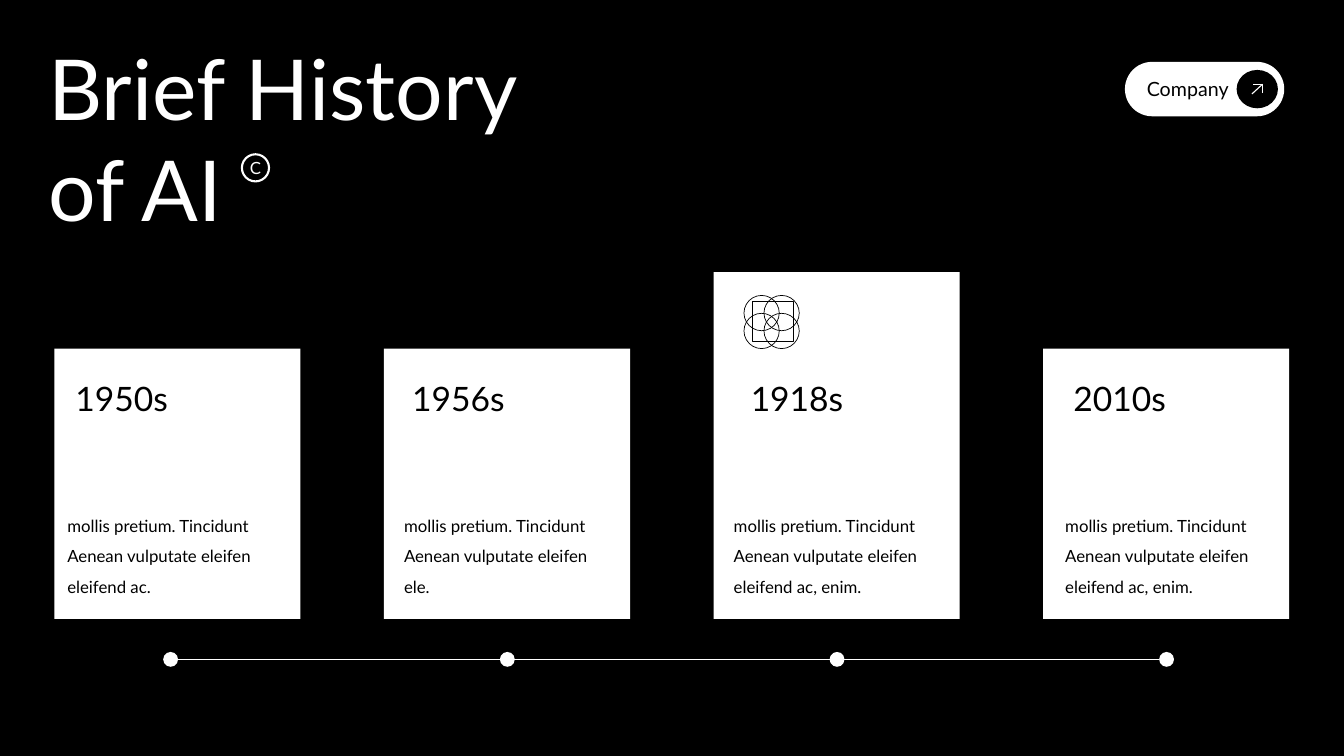
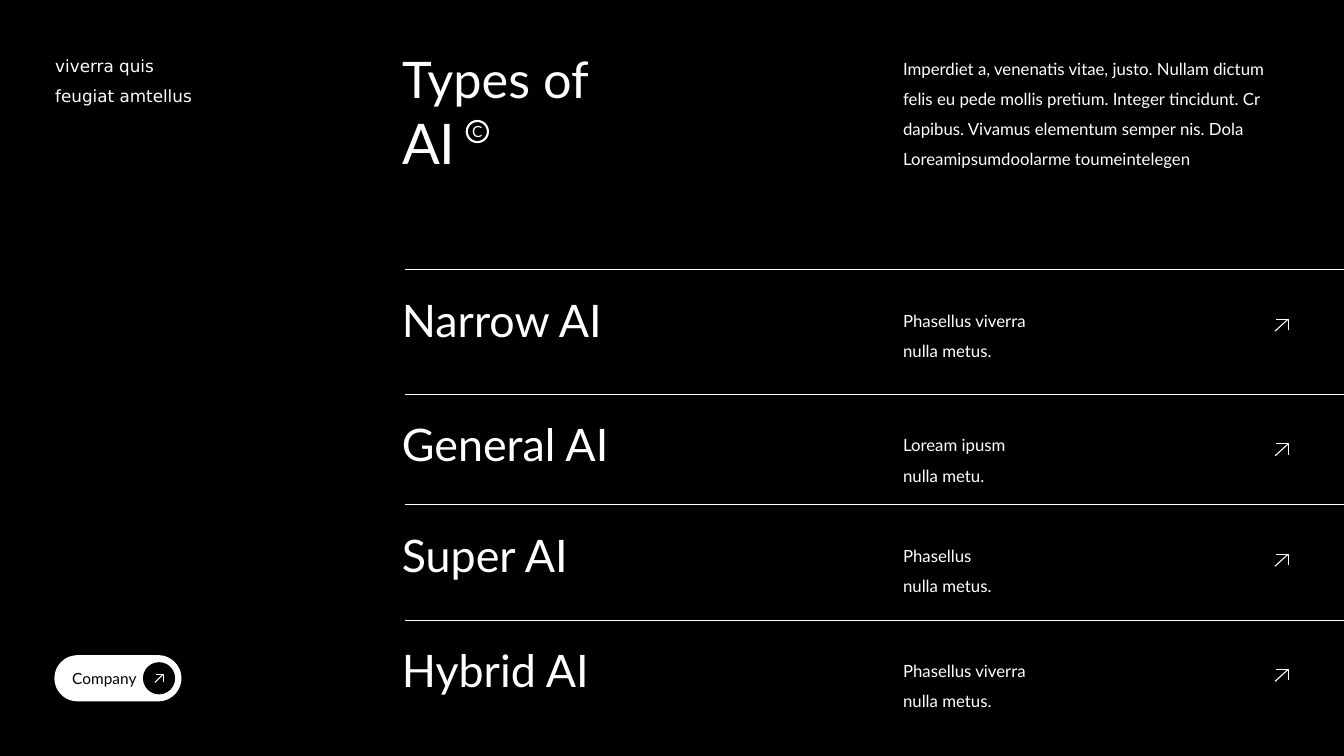
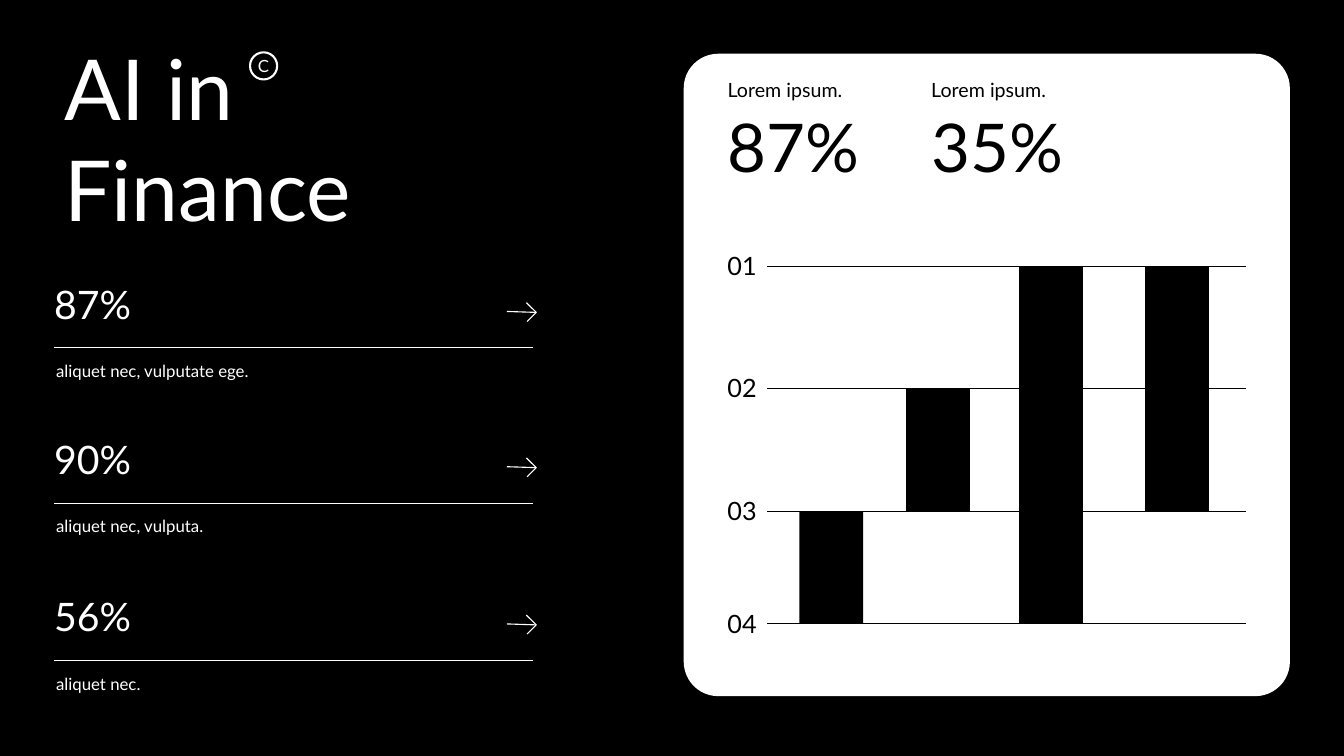
from dataclasses import dataclass
from itertools import product

from lxml.etree import SubElement
from pptx import Presentation
from pptx.dml.color import RGBColor
from pptx.enum.shapes import MSO_CONNECTOR, MSO_SHAPE
from pptx.enum.text import MSO_ANCHOR, MSO_AUTO_SIZE, PP_ALIGN
from pptx.oxml.ns import qn
from pptx.util import Pt

BLACK, WHITE = "000000", "FFFFFF"
FONT = "Lato"
HAIRLINE, ARROW_LINE = 0.5, 0.79
SLIDE_W, SLIDE_H = 960, 540
TITLE_ONLY = 5

Point = tuple[float, float]


@dataclass
class Milestone:
    year: str
    lines: list[str]
    year_x: float
    text_x: float
    dot_x: float
    card_top: float = 249


@dataclass
class AiType:
    name: str
    lines: list[str]
    rule_y: float


@dataclass
class Stat:
    value: str
    label: str
    rule_y: float


@dataclass
class Kpi:
    label: str
    value: str
    x: float


@dataclass
class Bar:
    """A floating bar between two grid lines, given by index."""
    x: float
    top: int
    bottom: int


MILESTONES = [
    Milestone("1950s", ["mollis pretium. Tincidunt", "Aenean vulputate eleifen", "eleifend ac."],
              46.8, 41, 116.6),
    Milestone("1956s", ["mollis pretium. Tincidunt", "Aenean vulputate eleifen", "ele."],
              287.3, 281.5, 357.1),
    Milestone("1918s", ["mollis pretium. Tincidunt", "Aenean vulputate eleifen", "eleifend ac, enim."],
              529.2, 517, 592.6, card_top=194.4),
    Milestone("2010s", ["mollis pretium. Tincidunt", "Aenean vulputate eleifen", "eleifend ac, enim."],
              759.6, 753.8, 828),
]
AI_TYPES = [
    AiType("Narrow AI", ["Phasellus viverra", "nulla metus."], 192.6),
    AiType("General AI", ["Loream ipusm", "nulla metu."], 281.7),
    AiType("Super AI", ["Phasellus", "nulla metus."], 360.5),
    AiType("Hybrid AI", ["Phasellus viverra", "nulla metus."], 442.8),
]
STATS = [
    Stat("87%", "aliquet nec, vulputate ege.", 248.4),
    Stat("90%", "aliquet nec, vulputa.", 359.3),
    Stat("56%", "aliquet nec.", 471.6),
]
KPIS = [Kpi("Lorem ipsum.", "87%", 512.6), Kpi("Lorem ipsum.", "35%", 658.1)]
GRID_YS = [190.1, 277.2, 365.2, 445.6]
BARS = [Bar(571, 2, 3), Bar(647.2, 1, 2), Bar(728, 0, 3), Bar(818, 0, 2)]


def rgb(color: str) -> RGBColor:
    return RGBColor.from_string(color)


def write(tf, lines: list[str], *, size: float, color: str = WHITE, font: str = FONT,
          spacing: float = 1, align=PP_ALIGN.LEFT) -> None:
    """Fill a text frame with one paragraph per line."""
    tf.word_wrap = True
    for i, line in enumerate(lines):
        p = tf.add_paragraph() if i else tf.paragraphs[0]
        p.alignment = align
        p.line_spacing = spacing
        r = p.add_run()
        r.text = line
        r.font.size = Pt(size)
        r.font.name = font
        r.font.color.rgb = rgb(color)


def add_text(sl, x: float, y: float, w: float, h: float, *lines: str, **style) -> None:
    sp = sl.shapes.add_textbox(Pt(x), Pt(y), Pt(w), Pt(h))
    write(sp.text_frame, list(lines), **style)


def set_title(sl, x: float, y: float, w: float, h: float, *lines: str, size: float = 60):
    sp = sl.shapes.title
    sp.left, sp.top, sp.width, sp.height = Pt(x), Pt(y), Pt(w), Pt(h)
    tf = sp.text_frame
    tf.auto_size = MSO_AUTO_SIZE.NONE
    tf.vertical_anchor = MSO_ANCHOR.TOP
    write(tf, list(lines), size=size)
    return tf


def paint(sp, fill: str | None, line: str | None, width: float) -> None:
    sp.shadow.inherit = False
    if fill:
        sp.fill.solid()
        sp.fill.fore_color.rgb = rgb(fill)
    else:
        sp.fill.background()
    if line:
        sp.line.color.rgb = rgb(line)
        sp.line.width = Pt(width)
    else:
        sp.line.fill.background()


def add_box(sl, kind, x: float, y: float, w: float, h: float, *, fill: str | None = None,
            line: str | None = None, width: float = HAIRLINE):
    sp = sl.shapes.add_shape(kind, Pt(x), Pt(y), Pt(w), Pt(h))
    paint(sp, fill, line, width)
    return sp


def add_rule(sl, x1: float, x2: float, y: float, color: str = WHITE) -> None:
    cn = sl.shapes.add_connector(MSO_CONNECTOR.STRAIGHT, Pt(x1), Pt(y), Pt(x2), Pt(y))
    cn.line.color.rgb = rgb(color)
    cn.line.width = Pt(HAIRLINE)
    SubElement(cn._element.spPr, qn("a:effectLst"))


def add_arrow(sl, head: list[Point], tail: Point) -> None:
    """Draw an open arrow: a three-point head and a shaft from tail to its tip."""
    start, tip, end = [(Pt(x), Pt(y)) for x, y in head]
    fb = sl.shapes.build_freeform(*start, scale=1.0)
    fb.add_line_segments([tip, end], close=False)
    fb.move_to(Pt(tail[0]), Pt(tail[1]))
    fb.add_line_segments([tip], close=False)
    paint(fb.convert_to_shape(), None, WHITE, ARROW_LINE)


def add_diagonal_arrow(sl, cx: float, cy: float, w: float, h: float) -> None:
    left, right, top, bottom = cx - w / 2, cx + w / 2, cy - h / 2, cy + h / 2
    add_arrow(sl, [(right, bottom - 0.6), (right, top), (left + 0.6, top)], (left, bottom))


def add_right_arrow(sl, tip_x: float, tip_y: float) -> None:
    add_arrow(sl, [(tip_x - 6.5, tip_y + 6.5), (tip_x, tip_y), (tip_x - 7, tip_y - 7)],
              (tip_x - 21, tip_y - 0.7))


def set_insets(tf, left: float = 0) -> None:
    tf.margin_left = Pt(left)
    tf.margin_right = tf.margin_top = tf.margin_bottom = 0
    tf.vertical_anchor = MSO_ANCHOR.MIDDLE


def add_badge(sl, x: float, y: float, d: float, size: float) -> None:
    """Draw the ringed C beside a title."""
    sp = add_box(sl, MSO_SHAPE.OVAL, x, y, d, d, line=WHITE, width=1.5)
    set_insets(sp.text_frame)
    write(sp.text_frame, ["C"], size=size, align=PP_ALIGN.CENTER)
    sp.text_frame.word_wrap = False


def add_pill(sl, x: float, y: float, w: float, h: float, *, size: float, inset: float,
             knob: Point, arrow: Point) -> None:
    """Draw the Company button with its arrow knob at the right end."""
    sp = add_box(sl, MSO_SHAPE.ROUNDED_RECTANGLE, x, y, w, h, fill=WHITE)
    sp.adjustments[0] = 0.5
    set_insets(sp.text_frame, inset)
    write(sp.text_frame, ["Company"], size=size, color=BLACK)
    knob_w, knob_h = knob
    cx, cy = x + w - 4.5 - knob_w / 2, y + h / 2
    add_box(sl, MSO_SHAPE.OVAL, cx - knob_w / 2, cy - knob_h / 2, knob_w, knob_h, fill=BLACK)
    add_diagonal_arrow(sl, cx, cy, *arrow)


def add_ornament(sl, x: float, y: float) -> None:
    """Draw four overlapping rings around a square."""
    add_box(sl, MSO_SHAPE.RECTANGLE, x + 5.8, y + 4.3, 29.5, 28.8, line=BLACK)
    for dx, dy in product((0, 14.3), (0, 12.8)):
        add_box(sl, MSO_SHAPE.OVAL, x + dx, y + dy, 25.2, 25.2, line=BLACK)


def build_history(sl) -> None:
    card_x, card_step, card_w, card_bottom = 38.9, 235.4, 175.8, 442
    dot, axis_y = 10.6, 471
    set_title(sl, 27.4, 22.3, 480, 152.6, "Brief History", "of AI")
    add_badge(sl, 172.8, 110.2, 19.4, 12)
    add_pill(sl, 803.5, 44.2, 113.8, 38.9, size=14, inset=10, knob=(29.5, 27.4), arrow=(7.6, 7))
    add_rule(sl, MILESTONES[0].dot_x + dot, MILESTONES[-1].dot_x, axis_y)
    for i, m in enumerate(MILESTONES):
        add_box(sl, MSO_SHAPE.RECTANGLE, card_x + i * card_step, m.card_top,
                card_w, card_bottom - m.card_top, fill=WHITE)
        add_box(sl, MSO_SHAPE.OVAL, m.dot_x, axis_y - dot / 2, dot, dot, fill=WHITE)
        add_text(sl, m.year_x, 266.4, 83.5, 36, m.year, size=24, color=BLACK)
        add_text(sl, m.text_x, 357.8, 167, 70.6, *m.lines, size=12, color=BLACK, spacing=1.5)
    add_ornament(sl, 531.4, 211)


def build_types(sl) -> None:
    name_x, text_x = 280, 638
    tf = set_title(sl, name_x, 31, 221, 99.4, "Types of", "AI", size=36)
    tf.paragraphs[1].runs[0].font.size = Pt(40)
    add_badge(sl, 333.4, 86.4, 15.1, 11)
    add_text(sl, 32.4, 28.8, 149, 48.2, "viverra quis", "feugiat amtellus",
             size=12, font="DejaVu Sans", spacing=1.5)
    add_text(sl, text_x, 31, 305.3, 92.2,
             "Imperdiet a, venenatis vitae, justo. Nullam dictum",
             "felis eu pede mollis pretium. Integer tincidunt. Cr",
             "dapibus. Vivamus elementum semper nis. Dola",
             "Loreamipsumdoolarme toumeintelegen", size=12, spacing=1.5)
    for t in AI_TYPES:
        add_rule(sl, 289.4, SLIDE_W, t.rule_y)
        add_text(sl, name_x, t.rule_y + 12.6, 199.4, 46, t.name, size=32)
        add_text(sl, text_x, t.rule_y + 18.4, 129.6, 48.2, *t.lines, size=12, spacing=1.5)
        add_diagonal_arrow(sl, 915.5, t.rule_y + 39.6, 9.4, 8.6)
    add_pill(sl, 38.9, 468, 90.7, 33, size=11, inset=7.9, knob=(23, 23), arrow=(5.8, 5.8))


def build_finance(sl) -> None:
    card = add_box(sl, MSO_SHAPE.ROUNDED_RECTANGLE, 488.9, 38.9, 432, 457.9,
                   fill=WHITE, line=WHITE, width=1)
    card.adjustments[0] = 0.056
    set_title(sl, 38.9, 22.3, 440, 152.6, "AI in", "Finance")
    add_badge(sl, 178.6, 37.4, 19.4, 12)
    for k in KPIS:
        add_text(sl, k.x, 51.8, 140, 24.5, k.label, size=14, color=BLACK)
        add_text(sl, k.x, 72, 140, 65.5, k.value, size=48, color=BLACK)
    for i, y in enumerate(GRID_YS, start=1):
        add_rule(sl, 548, 890, y, BLACK)
        add_text(sl, 512.6, y - 14.6, 45.4, 28.8, f"{i:02d}", size=18, color=BLACK)
    for b in BARS:
        top, bottom = GRID_YS[b.top], GRID_YS[b.bottom]
        add_box(sl, MSO_SHAPE.RECTANGLE, b.x, top, 45.6, bottom - top, fill=BLACK)
    for s in STATS:
        add_rule(sl, 38.9, 380.9, s.rule_y)
        add_text(sl, 31.7, s.rule_y - 51.8, 184.3, 41, s.value, size=28)
        add_text(sl, 33, s.rule_y + 5.8, 183, 21.6, s.label, size=12)
        add_right_arrow(sl, 383, s.rule_y - 25.2)


def main() -> None:
    prs = Presentation()
    prs.slide_width, prs.slide_height = Pt(SLIDE_W), Pt(SLIDE_H)
    bg = prs.slide_master.background.fill
    bg.solid()
    bg.fore_color.rgb = rgb(BLACK)
    for build in (build_history, build_types, build_finance):
        build(prs.slides.add_slide(prs.slide_layouts[TITLE_ONLY]))
    prs.save("out.pptx")


if __name__ == "__main__":
    main()
